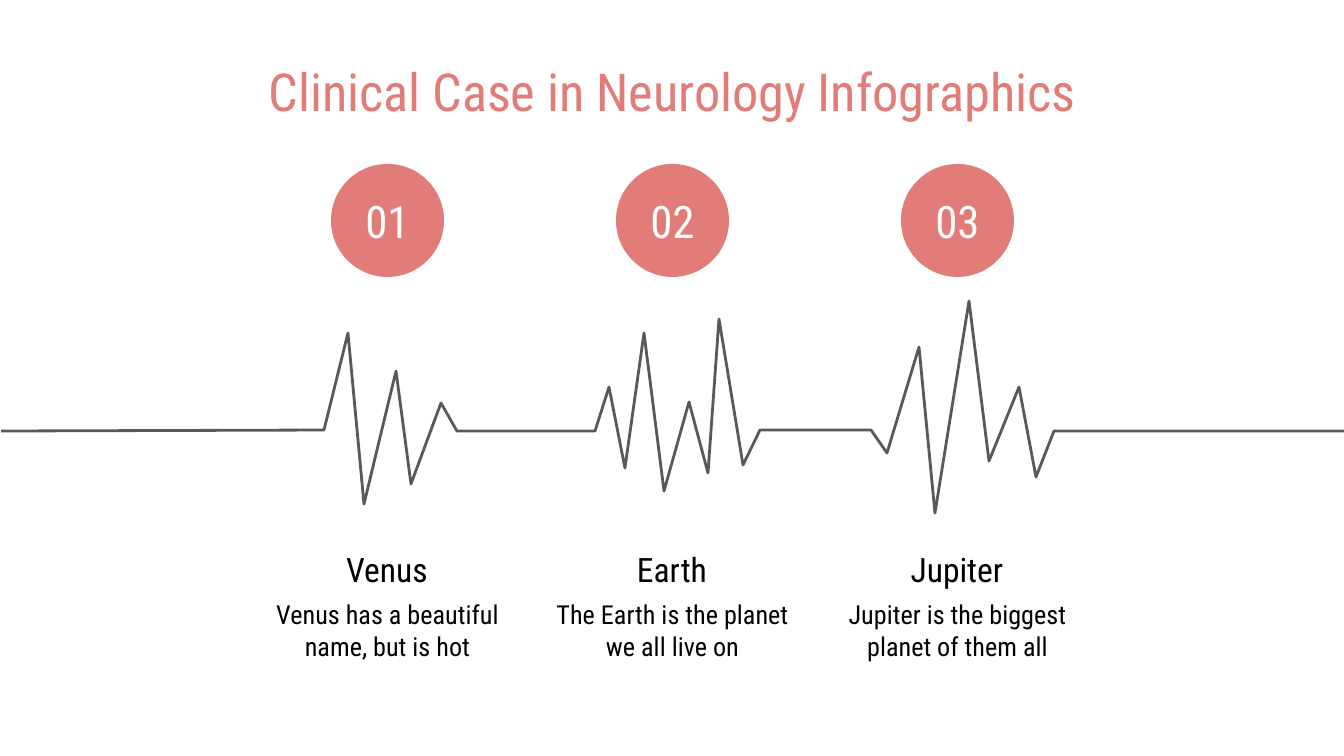
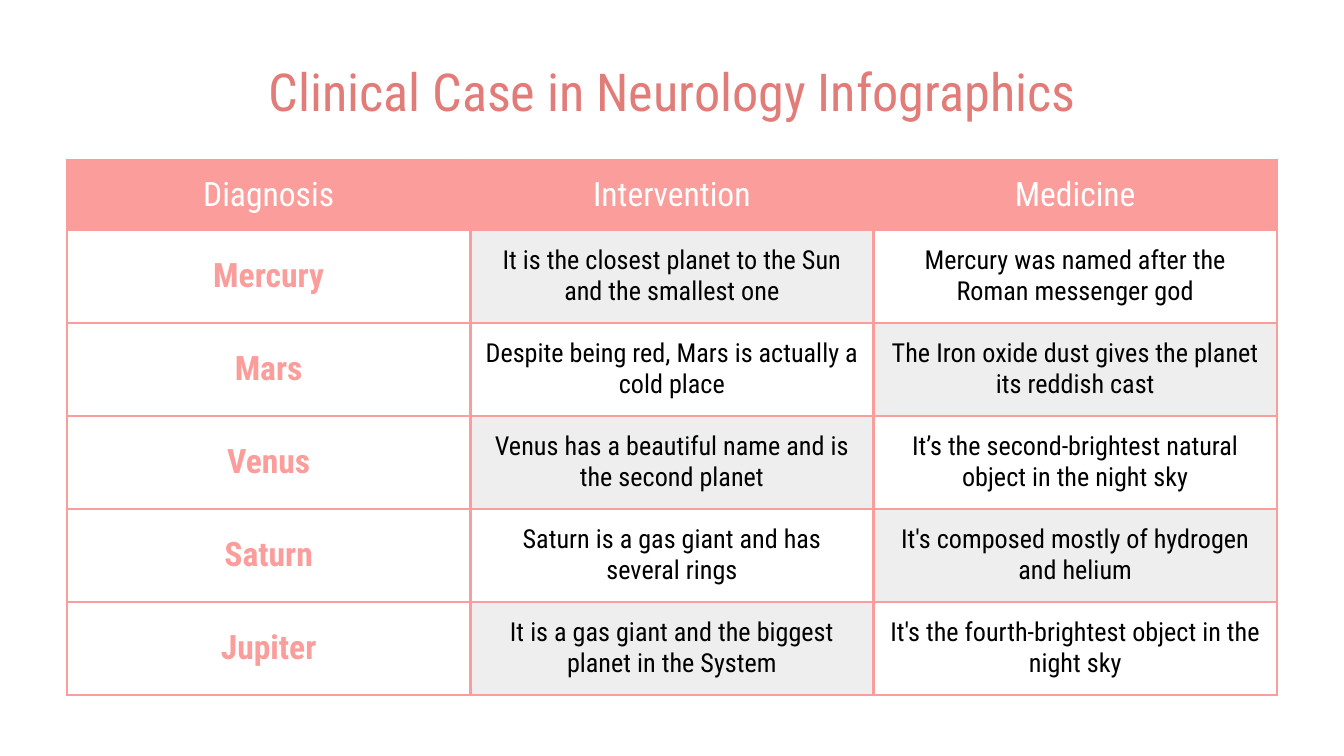
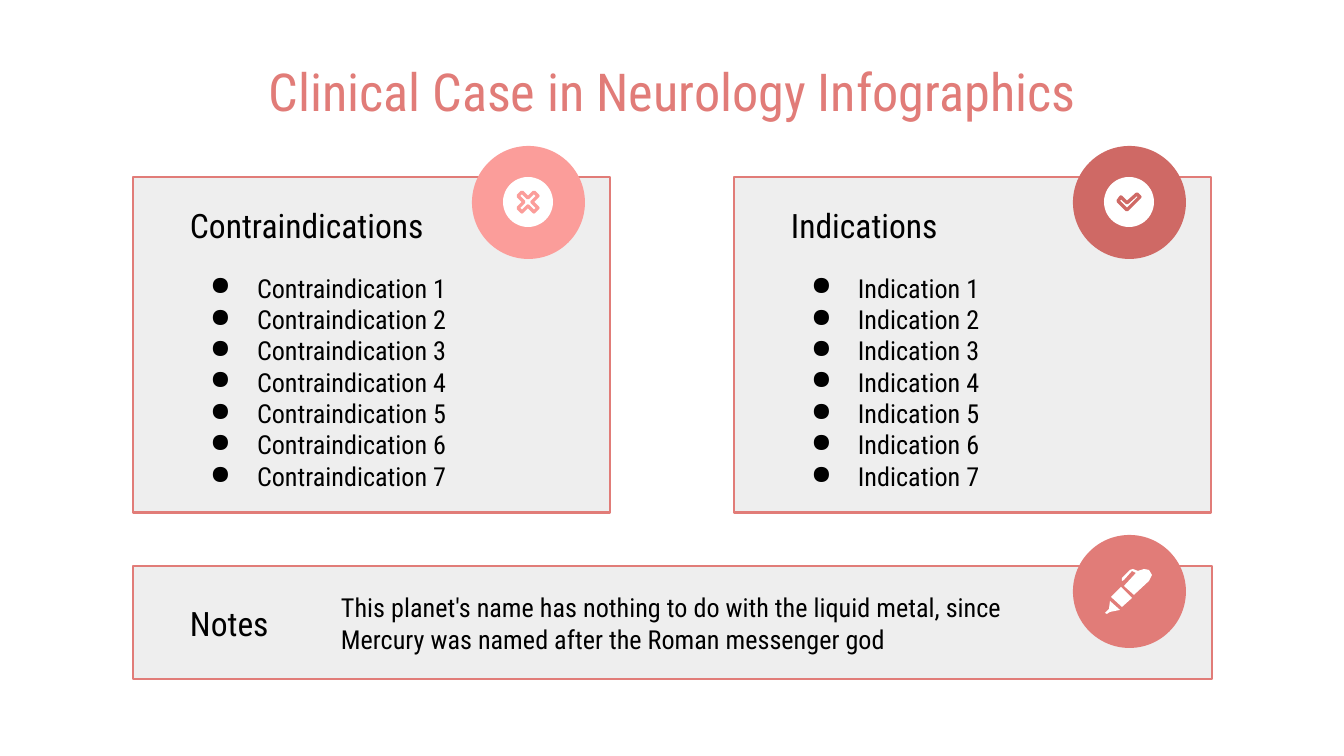
from lxml import etree
from pptx import Presentation
from pptx.dml.color import RGBColor
from pptx.enum import shapes, text
from pptx.oxml import ns
from pptx import util as u

PX = 914400 / 134.4
FONT = "Roboto Condensed"
WHITE = RGBColor(0xFF, 0xFF, 0xFF)
BLACK = RGBColor(0, 0, 0)
GRAY = RGBColor(0xEE, 0xEE, 0xEE)
DARK_GRAY = RGBColor(0x59, 0x59, 0x59)
CORAL = RGBColor(0xE1, 0x7C, 0x78)
PINK = RGBColor(0xFB, 0x9D, 0x9A)
BRICK = RGBColor(0xCF, 0x69, 0x65)
TITLE = "Clinical Case in Neurology Infographics"
INSET = 13
DISC = 113
LEFT, CENTER = text.PP_ALIGN.LEFT, text.PP_ALIGN.CENTER
TOP, MIDDLE = text.MSO_ANCHOR.TOP, text.MSO_ANCHOR.MIDDLE

PULSE = [
    (1, 431), (324, 430), (348, 333), (364, 504), (396, 371), (411, 484),
    (441, 403), (457, 431), (595, 431), (609, 387), (625, 468), (644, 333),
    (664, 491), (689, 402), (708, 473), (719, 319), (743, 465), (760, 430),
    (871, 430), (887, 453), (919, 347), (935, 513), (969, 301), (989, 461),
    (1019, 387), (1036, 477), (1054, 431), (1348, 431),
]
CROSS = [
    (0, -4), (6, -10), (10, -6), (4, 0), (10, 6), (6, 10),
    (0, 4), (-6, 10), (-10, 6), (-4, 0), (-10, -6), (-6, -10),
]
CHECK = [(8, -8), (11, -5), (-2, 8), (-11, -1), (-8, -5), (-2, 1)]
PEN_NIB = [(-19, 10), (-20, 18), (-24, 22), (-22, 23), (-19, 21), (-9, 19)]
PEN_BARREL = [(-8, -4), (-18, 6), (-7, 16), (3, 7)]
PEN_CAP = [
    (4, -22), (1, -21), (-7, -13), (-7, -10), (-5, -11), (3, -20), (7, -18),
    (-5, -5), (5, 4), (20, -10), (23, -16), (20, -21), (15, -22), (9, -20),
]
PLANETS = [
    ("Venus", "Venus has a beautiful name, but is hot"),
    ("Earth", "The Earth is the planet we all live on"),
    ("Jupiter", "Jupiter is the biggest planet of them all"),
]
CASES = [
    ("Diagnosis", "Intervention", "Medicine"),
    ("Mercury", "It is the closest planet to the Sun and the smallest one",
     "Mercury was named after the Roman messenger god"),
    ("Mars", "Despite being red, Mars is actually a cold place",
     "The Iron oxide dust gives the planet its reddish cast"),
    ("Venus", "Venus has a beautiful name and is the second planet",
     "It’s the second-brightest natural object in the night sky"),
    ("Saturn", "Saturn is a gas giant and has several rings",
     "It's composed mostly of hydrogen and helium"),
    ("Jupiter", "It is a gas giant and the biggest planet in the System",
     "It's the fourth-brightest object in the night sky"),
]
NOTE = ("This planet's name has nothing to do with the liquid metal, "
        "since Mercury was named after the Roman messenger god")


def px(length):
    return u.Emu(round(length * PX))


def write(para, words, size, color=BLACK, align=LEFT, bold=False):
    para.alignment = align
    span = para.add_run()
    span.text = words
    span.font.name = FONT
    span.font.size = u.Pt(size)
    span.font.bold = bold
    span.font.color.rgb = color


def prepare_frame(shape, anchor=MIDDLE):
    frame = shape.text_frame
    frame.word_wrap = True
    frame.auto_size = text.MSO_AUTO_SIZE.NONE
    frame.vertical_anchor = anchor
    frame.margin_left = frame.margin_right = px(INSET)
    frame.margin_top = frame.margin_bottom = px(INSET)
    return frame


def paint(shape, fill=None, line=None, width=1.5):
    shape.shadow.inherit = False
    if fill is None:
        shape.fill.background()
    else:
        shape.fill.solid()
        shape.fill.fore_color.rgb = fill
    if line is None:
        shape.line.fill.background()
    else:
        shape.line.color.rgb = line
        shape.line.width = u.Pt(width)


def add_page(deck):
    page = deck.slides.add_slide(deck.slide_layouts[5])
    title = page.shapes.title
    title.left, title.top, title.width, title.height = map(px, (67, 62, 1210, 58))
    write(prepare_frame(title).paragraphs[0], TITLE, 28, CORAL, CENTER)
    return page


def add_words(page, area, words, size, align=LEFT):
    box = page.shapes.add_textbox(*map(px, area))
    write(prepare_frame(box).paragraphs[0], words, size, align=align)


def add_preset(page, kind, area, fill, line=None):
    shape = page.shapes.add_shape(kind, *map(px, area))
    paint(shape, fill, line)
    return shape


def add_disc(page, center, fill, size=DISC):
    x, y = center
    area = (x - size // 2, y - size // 2, size, size)
    return add_preset(page, shapes.MSO_SHAPE.OVAL, area, fill)


def add_card(page, area):
    add_preset(page, shapes.MSO_SHAPE.RECTANGLE, area, GRAY, CORAL)


def add_outline(page, points, center=(0, 0), fill=None, line=None, width=1.5, close=True):
    moved = [(x + center[0], y + center[1]) for x, y in points]
    builder = page.shapes.build_freeform(*moved[0], scale=PX)
    builder.add_line_segments(moved[1:], close=close)
    shape = builder.convert_to_shape()
    paint(shape, fill, line, width)
    if line is not None:
        etree.SubElement(shape.line._get_or_add_ln(), ns.qn("a:round"))


def add_badge(page, center, color, mark):
    add_disc(page, center, color)
    add_disc(page, center, WHITE, 50)
    add_outline(page, mark, center, WHITE, color, 1.75)


def add_bullets(page, area, items):
    frame = prepare_frame(page.shapes.add_textbox(*map(px, area)), TOP)
    for index, item in enumerate(items):
        para = frame.add_paragraph() if index else frame.paragraphs[0]
        write(para, item, 14)
        settings = para._p.get_or_add_pPr()
        settings.set("marL", str(px(67)))
        settings.set("indent", str(px(-47)))
        tint = etree.SubElement(settings, ns.qn("a:buClr"))
        etree.SubElement(tint, ns.qn("a:srgbClr"), val=str(BLACK))
        etree.SubElement(settings, ns.qn("a:buChar"), char="●")


def add_borders(cell, color):
    settings = cell._tc.get_or_add_tcPr()
    for side in ("lnL", "lnR", "lnT", "lnB"):
        edge = etree.SubElement(settings, ns.qn(f"a:{side}"), w=str(u.Pt(1.5)))
        fill = etree.SubElement(edge, ns.qn("a:solidFill"))
        etree.SubElement(fill, ns.qn("a:srgbClr"), val=str(color))


def fill_cell(cell, row, column, words):
    add_borders(cell, PINK)
    cell.vertical_anchor = MIDDLE
    cell.margin_left = cell.margin_right = px(INSET)
    cell.margin_top = cell.margin_bottom = px(INSET)
    shaded = column > 0 and (row + column) % 2 == 0
    cell.fill.solid()
    cell.fill.fore_color.rgb = PINK if row == 0 else GRAY if shaded else WHITE
    para = cell.text_frame.paragraphs[0]
    if row == 0:
        write(para, words, 18, WHITE, CENTER)
    elif column == 0:
        write(para, words, 18, PINK, CENTER, True)
    else:
        write(para, words, 14, BLACK, CENTER)


def add_case_table(page):
    area = map(px, (67, 160, 1210, 535))
    table = page.shapes.add_table(len(CASES), 3, *area).table
    table.first_row = table.horz_banding = False
    for row, line in enumerate(CASES):
        table.rows[row].height = px(93 if row else 70)
        for column, words in enumerate(line):
            fill_cell(table.cell(row, column), row, column, words)


def build_pulse(page):
    add_outline(page, PULSE, line=DARK_GRAY, close=False)
    for index, (name, fact) in enumerate(PLANETS):
        middle = 387 + 285 * index
        add_words(page, (middle - 140, 593, 281, 74), fact, 14, CENTER)
        add_words(page, (middle - 88, 544, 176, 50), name, 18, CENTER)
        disc = add_disc(page, (middle, 220), CORAL)
        write(prepare_frame(disc).paragraphs[0], f"{index + 1:02}", 24, WHITE, CENTER)


def build_lists(page):
    groups = [("Contraindication", PINK, CROSS), ("Indication", BRICK, CHECK)]
    for index, (name, color, mark) in enumerate(groups):
        left = 133 + 601 * index
        add_card(page, (left, 177, 477, 336))
        add_words(page, (left + 44, 200, 294, 50), f"{name}s", 18)
        items = [f"{name} {number}" for number in range(1, 8)]
        add_bullets(page, (left + 44, 259, 388, 245), items)
        add_badge(page, (left + 395, 202), color, mark)
    add_card(page, (133, 566, 1079, 113))
    add_words(page, (177, 598, 151, 50), "Notes", 18)
    add_words(page, (328, 586, 699, 74), NOTE, 14)
    pen_center = (1129, 591)
    add_disc(page, pen_center, CORAL)
    for part in (PEN_NIB, PEN_BARREL, PEN_CAP):
        add_outline(page, part, pen_center, WHITE)


def main():
    deck = Presentation()
    deck.slide_width, deck.slide_height = px(1344), px(756)
    build_pulse(add_page(deck))
    add_case_table(add_page(deck))
    build_lists(add_page(deck))
    deck.save("out.pptx")


if __name__ == "__main__":
    main()
